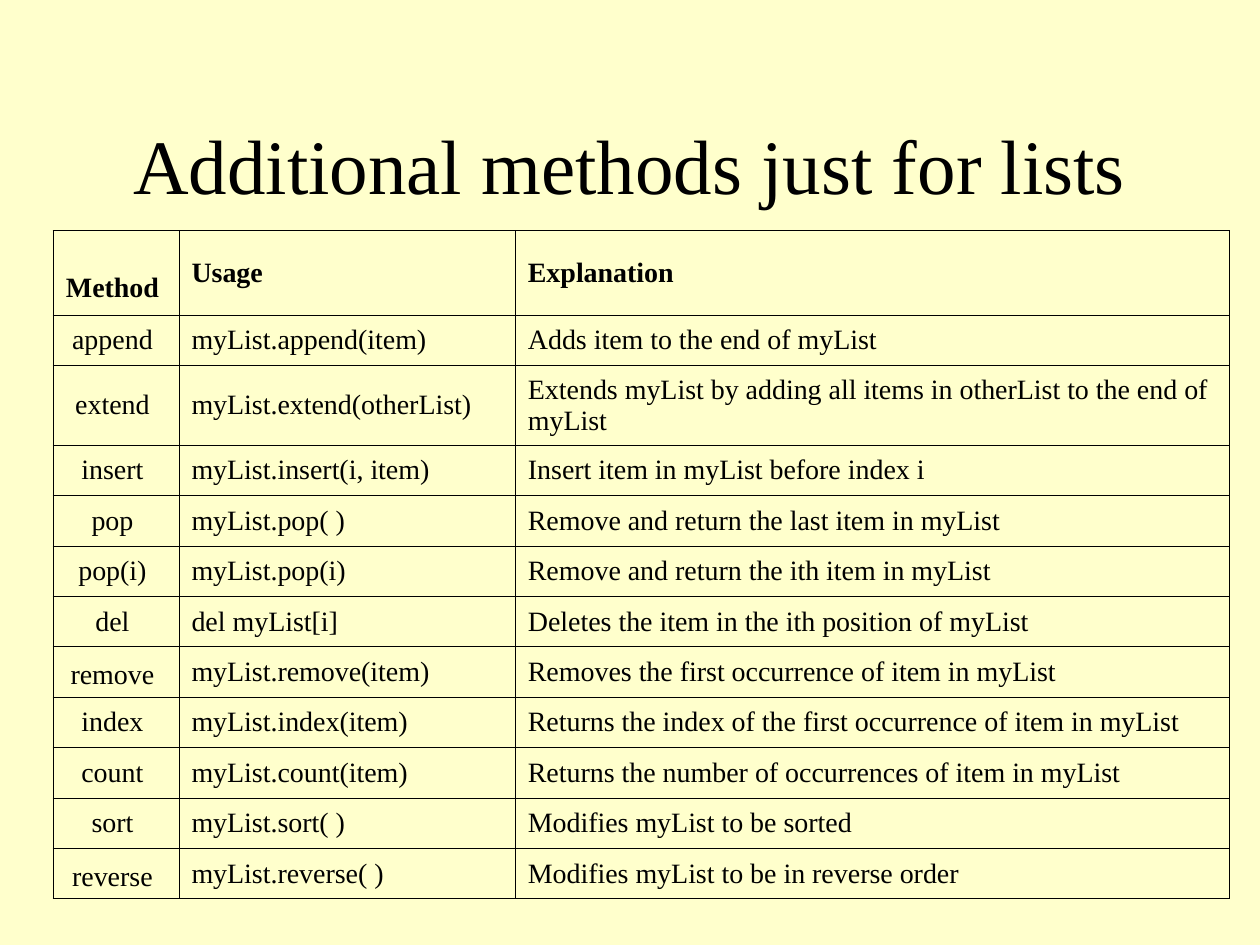
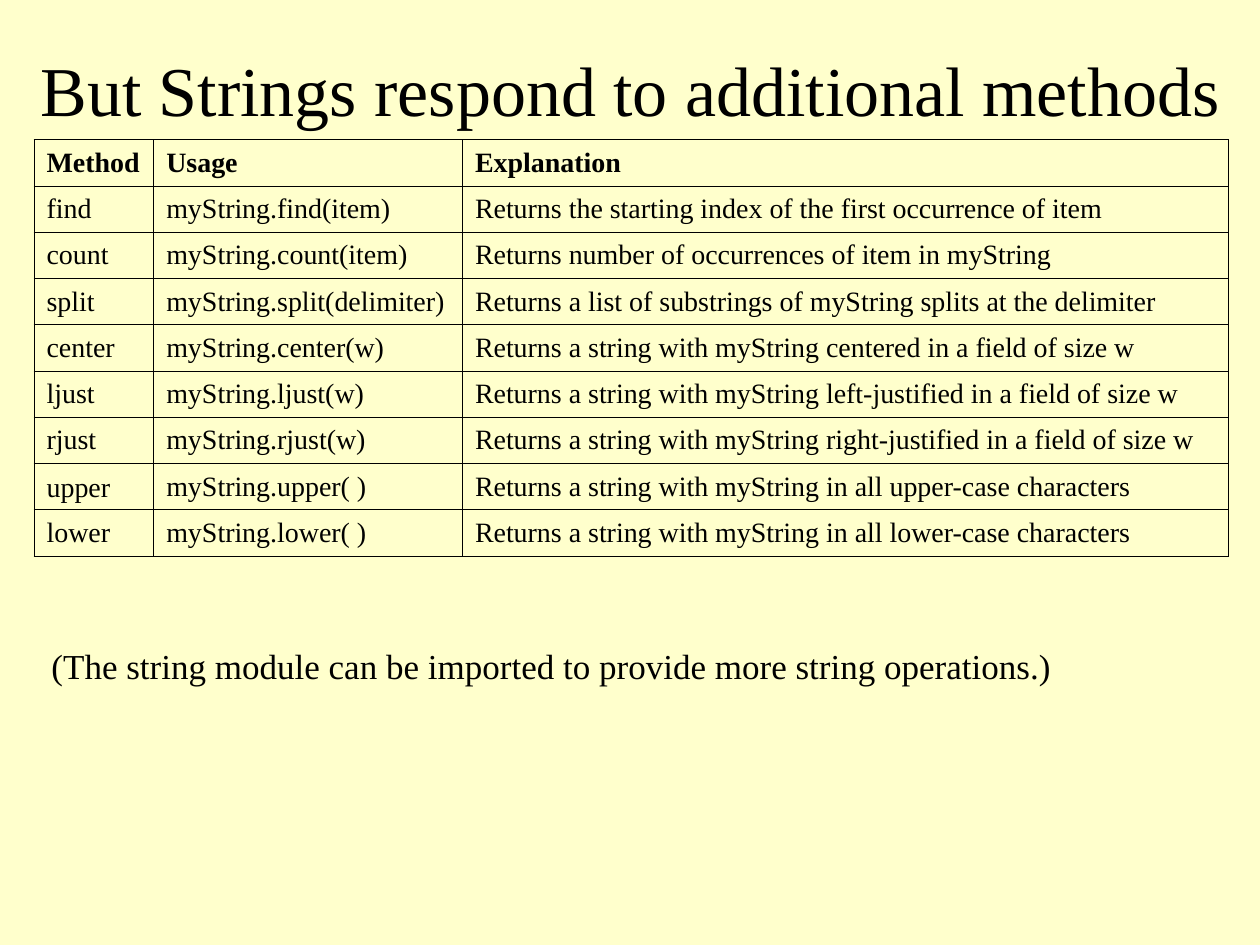
"""Builds two slides that list the methods of Python lists and strings."""
from lxml import etree
from pptx import Presentation
from pptx.dml.color import RGBColor
from pptx.enum.text import MSO_ANCHOR, PP_ALIGN
from pptx.oxml.ns import qn
from pptx.util import Inches, Pt

LEFT, CENTER = PP_ALIGN.LEFT, PP_ALIGN.CENTER
MIDDLE, BOTTOM = MSO_ANCHOR.MIDDLE, MSO_ANCHOR.BOTTOM

FONT = "Times New Roman"
INK = "000000"
PAPER = "FFFFCC"
BORDER_WIDTH = 0.45

LIST_METHODS = [
    ("Method ", "Usage", "Explanation"),
    ("append ", "myList.append(item)", "Adds item to the end of myList"),
    ("extend ", "myList.extend(otherList)",
     "Extends myList by adding all items in otherList to the end of myList"),
    ("insert ", "myList.insert(i, item)", "Insert item in myList before index i"),
    ("pop ", "myList.pop( )", "Remove and return the last item in myList"),
    ("pop(i) ", "myList.pop(i)", "Remove and return the ith item in myList"),
    ("del ", "del myList[i]", "Deletes the item in the ith position of myList"),
    ("remove ", "myList.remove(item)", "Removes the first occurrence of item in myList"),
    ("index ", "myList.index(item)",
     "Returns the index of the first occurrence of item in myList"),
    ("count ", "myList.count(item)", "Returns the number of occurrences of item in myList"),
    ("sort ", "myList.sort( )", "Modifies myList to be sorted"),
    ("reverse ", "myList.reverse( )", "Modifies myList to be in reverse order"),
]

STRING_METHODS = [
    ("Method", "Usage", "Explanation"),
    ("find", "myString.find(item)", "Returns the starting index of the first occurrence of item"),
    ("count", "myString.count(item)", "Returns number of occurrences of item in myString"),
    ("split", "myString.split(delimiter)",
     "Returns a list of substrings of myString splits at the delimiter"),
    ("center", "myString.center(w)",
     "Returns a string with myString centered in a field of size w"),
    ("ljust", "myString.ljust(w)",
     "Returns a string with myString left-justified in a field of size w"),
    ("rjust", "myString.rjust(w)",
     "Returns a string with myString right-justified in a field of size w"),
    ("upper", "myString.upper( )",
     "Returns a string with myString in all upper-case characters"),
    ("lower", "myString.lower( )",
     "Returns a string with myString in all lower-case characters"),
]

PAGES = [
    {
        "title": ("Additional methods just for lists", (0.75, 0.67, 8.5, 1.25), 44),
        "methods": LIST_METHODS,
        "corner": (0.42, 1.83),
        "columns": (1, 2.67, 5.67),
        "row_height": 0.4,
        "tall_rows": {0: 0.67, 2: 0.63},
        "method_align": CENTER,
        "low_methods": ("remove ", "reverse "),
        "header_drop": 0.25,
    },
    {
        "title": ("But Strings respond to additional methods", (0, 0.08, 10, 1.25), 40),
        "methods": STRING_METHODS,
        "corner": (0.27, 1.11),
        "columns": (0.95, 2.45, 6.08),
        "row_height": 3.3 / len(STRING_METHODS),
        "tall_rows": {},
        "method_align": LEFT,
        "low_methods": ("upper",),
        "header_drop": 0,
        "remark": ("(The string module can be imported to provide more string operations.)",
                   (0.31, 5.06, 8.21, 0.44), 20),
    },
]


def color(value):
    return RGBColor.from_string(value)


def write(frame, text, size=16, bold=False, align=LEFT):
    para = frame.paragraphs[0]
    para.alignment = align
    span = para.add_run()
    span.text = text
    span.font.name = FONT
    span.font.size = Pt(size)
    span.font.bold = bold
    span.font.color.rgb = color(INK)


def add_text(page, text, place, size, align=LEFT, wrap=True):
    box = page.shapes.add_textbox(*map(Inches, place))
    box.text_frame.word_wrap = wrap
    box.text_frame.vertical_anchor = MIDDLE
    write(box.text_frame, text, size=size, align=align)


def outline(cell):
    properties = cell._tc.get_or_add_tcPr()
    for side in ("a:lnL", "a:lnR", "a:lnT", "a:lnB"):
        line = etree.SubElement(properties, qn(side), w=str(Pt(BORDER_WIDTH)))
        fill = etree.SubElement(line, qn("a:solidFill"))
        etree.SubElement(fill, qn("a:srgbClr"), val=INK)


def add_methods(page, content):
    methods, columns = content["methods"], content["columns"]
    heights = [content["tall_rows"].get(index, content["row_height"])
               for index in range(len(methods))]
    place = (*content["corner"], sum(columns), sum(heights))
    table = page.shapes.add_table(len(methods), len(columns), *map(Inches, place)).table
    table.first_row = table.horz_banding = False
    for column, width in zip(table.columns, columns):
        column.width = Inches(width)
    for row_index, (row, height) in enumerate(zip(table.rows, heights)):
        row.height = Inches(height)
        for column_index, cell in enumerate(row.cells):
            text = methods[row_index][column_index]
            outline(cell)
            cell.fill.background()
            cell.vertical_anchor = BOTTOM if text in content["low_methods"] else MIDDLE
            write(cell.text_frame, text, bold=row_index == 0,
                  align=LEFT if column_index else content["method_align"])
    table.cell(0, 0).margin_top = Inches(0.05 + content["header_drop"])


def main():
    deck = Presentation()
    deck.slide_width, deck.slide_height = Inches(10), Inches(7.5)
    for content in PAGES:
        page = deck.slides.add_slide(deck.slide_layouts[6])
        page.background.fill.solid()
        page.background.fill.fore_color.rgb = color(PAPER)
        add_text(page, *content["title"], align=CENTER)
        add_methods(page, content)
        if "remark" in content:
            add_text(page, *content["remark"], wrap=False)
    deck.save("out.pptx")


if __name__ == "__main__":
    main()
